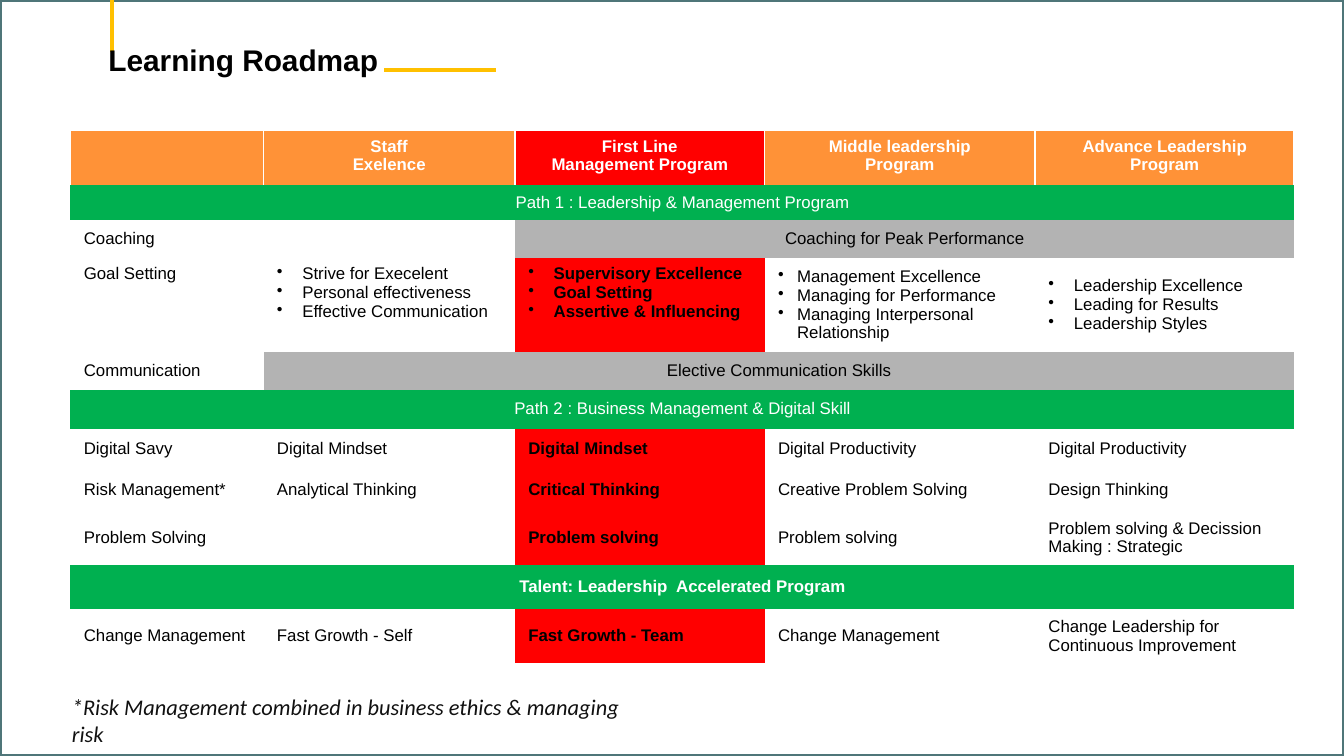
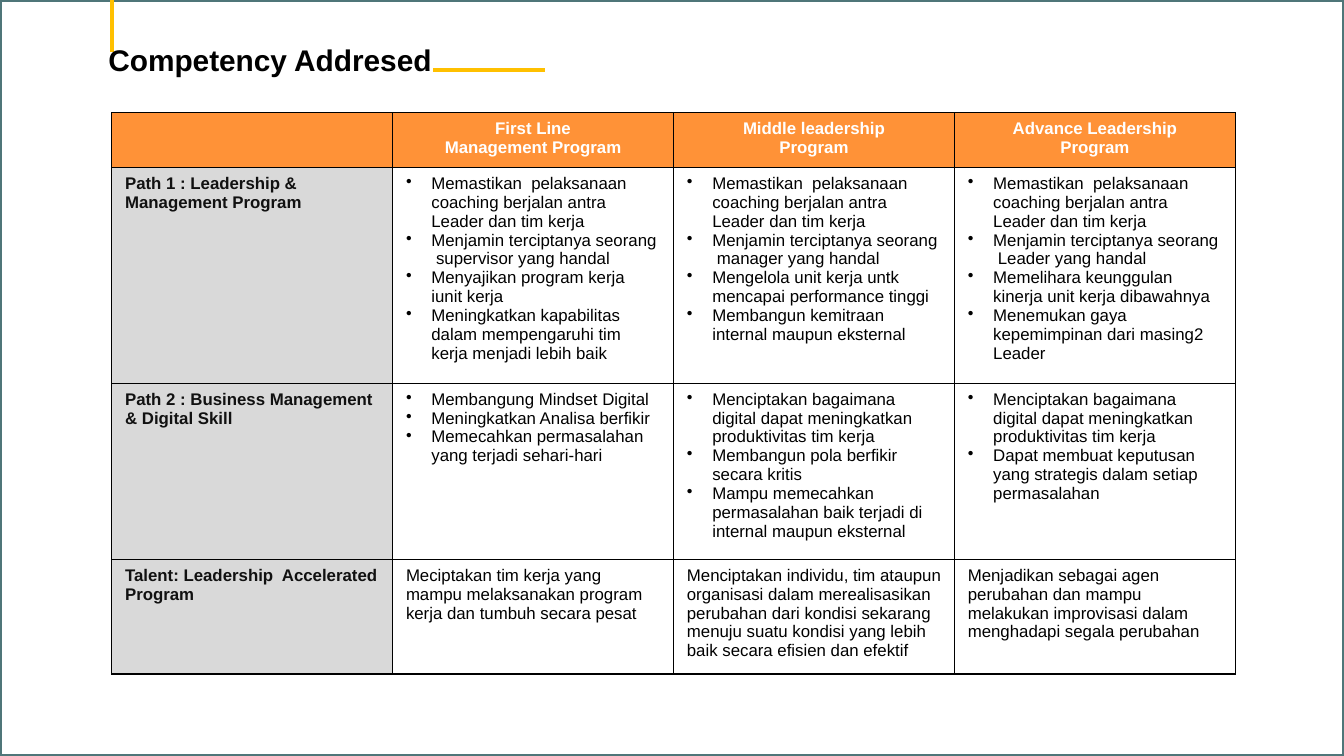
from lxml import etree
from pptx import Presentation
from pptx import util as u
from pptx.dml.color import RGBColor
from pptx.enum import shapes, text
from pptx.oxml.ns import qn

ORANGE, RED, GREEN = "FF9237", "FF0000", "00B050"
GREY, PALE, YELLOW = "B3B3B3", "D9D9D9", "FFC000"
WHITE, BLACK, INK = "FFFFFF", "000000", "111111"
NO_STYLE = "{2D5ABB26-0587-4C30-8999-92F81FD0307C}"
WIDTH, HEIGHT = u.Cm(25.4), u.Cm(14.29)


def color(value):
    return RGBColor.from_string(value)


def fill_cell(cell, content, fill, ink, bold, align, anchor, indent, edges, edge_color, edge_width):
    """Write one table cell; a list becomes bullets, a string becomes plain lines."""
    properties = cell._tc.get_or_add_tcPr()
    for edge in edges:
        line = etree.SubElement(properties, qn("a:ln" + edge), w=str(u.Pt(edge_width)))
        solid = etree.SubElement(line, qn("a:solidFill"))
        etree.SubElement(solid, qn("a:srgbClr"), val=edge_color)
    if fill:
        cell.fill.solid()
        cell.fill.fore_color.rgb = color(fill)
    else:
        cell.fill.background()
    cell.vertical_anchor = anchor
    bulleted = isinstance(content, list)
    cell.text_frame.text = "\n".join(content) if bulleted else content
    for para in cell.text_frame.paragraphs:
        para.alignment = align
        if bulleted:
            layout = para._p.get_or_add_pPr()
            layout.set("marL", str(u.Cm(indent)))
            layout.set("indent", str(-u.Cm(indent)))
            tint = etree.SubElement(layout, qn("a:buClr"))
            etree.SubElement(tint, qn("a:srgbClr"), val=BLACK)
            etree.SubElement(layout, qn("a:buChar"), char="•")
        for span in para.runs:
            span.font.name = "Arial"
            span.font.size = u.Pt(9)
            span.font.bold = bold
            span.font.color.rgb = color(ink)
        if not para.runs:
            etree.SubElement(para._p, qn("a:endParaRPr"), sz="900")


# Wording of the tables; None continues the merged cell on its left
FIRST_LINE = "First Line\nManagement Program"
MIDDLE = "Middle leadership\nProgram"
LEADERSHIP = "Path 1 : Leadership & Management Program"
BUSINESS = "Path 2 : Business Management & Digital Skill"
TALENT = "Talent: Leadership  Accelerated Program"
COACHING = "Memastikan  pelaksanaan coaching berjalan antra Leader dan tim kerja"
DIGITAL = "Menciptakan bagaimana digital dapat meningkatkan produktivitas tim kerja"

roadmap = [
    ["", "Staff\nExelence", FIRST_LINE, MIDDLE, "Advance Leadership Program"],
    [LEADERSHIP, None, None, None, None],
    ["Coaching", "", "Coaching for Peak Performance", None, None],
    ["Goal Setting",
     ["Strive for Execelent", "Personal effectiveness", "Effective Communication"],
     ["Supervisory Excellence", "Goal Setting", "Assertive & Influencing"],
     ["Management Excellence", "Managing for Performance", "Managing Interpersonal Relationship"],
     ["Leadership Excellence", "Leading for Results", "Leadership Styles"]],
    ["Communication", "Elective Communication Skills", None, None, None],
    [BUSINESS, None, None, None, None],
    ["Digital Savy", "Digital Mindset", "Digital Mindset",
     "Digital Productivity", "Digital Productivity"],
    ["Risk Management*", "Analytical Thinking", "Critical Thinking",
     "Creative Problem Solving", "Design Thinking"],
    ["Problem Solving", "", "Problem solving", "Problem solving",
     "Problem solving & Decission Making : Strategic"],
    [TALENT, None, None, None, None],
    ["Change Management", "Fast Growth - Self", "Fast Growth - Team", "Change Management",
     "Change Leadership for Continuous Improvement"],
]
competency = [
    ["", FIRST_LINE, MIDDLE, "Advance Leadership\nProgram"],
    [LEADERSHIP,
     [COACHING, "Menjamin terciptanya seorang  supervisor yang handal",
      "Menyajikan program kerja iunit kerja",
      "Meningkatkan kapabilitas dalam mempengaruhi tim kerja menjadi lebih baik"],
     [COACHING, "Menjamin terciptanya seorang  manager yang handal",
      "Mengelola unit kerja untk mencapai performance tinggi",
      "Membangun kemitraan internal maupun eksternal"],
     [COACHING, "Menjamin terciptanya seorang  Leader yang handal",
      "Memelihara keunggulan kinerja unit kerja dibawahnya",
      "Menemukan gaya kepemimpinan dari masing2 Leader"]],
    [BUSINESS,
     ["Membangung Mindset Digital", "Meningkatkan Analisa berfikir",
      "Memecahkan permasalahan yang terjadi sehari-hari"],
     [DIGITAL, "Membangun pola berfikir secara kritis",
      "Mampu memecahkan permasalahan baik terjadi di internal maupun eksternal"],
     [DIGITAL, "Dapat membuat keputusan yang strategis dalam setiap permasalahan"]],
    [TALENT,
     "Meciptakan tim kerja yang mampu melaksanakan program kerja dan tumbuh secara pesat",
     "Menciptakan individu, tim ataupun organisasi dalam merealisasikan perubahan dari kondisi "
     "sekarang menuju suatu kondisi yang lebih baik secara efisien dan efektif",
     "Menjadikan sebagai agen perubahan dan mampu melakukan improvisasi dalam menghadapi "
     "segala perubahan"],
]

# Title, title width, start of the underline, table corner, columns, rows, wording
slides = [
    ("Learning Roadmap", 5.89, 7.26, (1.33, 2.46), [3.65, 4.75, 4.72, 5.11, 4.9],
     [1.04, 0.66, 0.71, 1.78, 0.71, 0.74, 0.76, 0.79, 1.02, 0.84, 1.02], roadmap),
    ("Competency Addresed", 6.73, 8.19, (2.11, 2.13), [5.31] * 4,
     [1.04, 4.06, 3.33, 2.16], competency),
]

deck = Presentation()
deck.slide_width, deck.slide_height = WIDTH, HEIGHT

for title, title_width, underline, corner, columns, rows, wording in slides:
    page = deck.slides.add_slide(deck.slide_layouts[6])
    page.background.fill.solid()
    page.background.fill.fore_color.rgb = color("6B9FA4")

    # Framed white sheet
    frame = page.shapes.add_shape(shapes.MSO_SHAPE.RECTANGLE, 0, 0, WIDTH, HEIGHT)
    frame.shadow.inherit = False
    frame.fill.solid()
    frame.fill.fore_color.rgb = color(WHITE)
    frame.line.color.rgb = color("4F7679")
    frame.line.width = u.Pt(2)

    # Yellow title accents
    for ends in [(2.11, 0, 2.11, 0.99), (underline, 1.32, underline + 2.12, 1.32)]:
        accent = page.shapes.add_connector(shapes.MSO_CONNECTOR.STRAIGHT, *map(u.Cm, ends))
        accent.line.color.rgb = color(YELLOW)
        accent.line.width = u.Pt(2.25)
        etree.SubElement(accent._element.spPr, qn("a:effectLst"))

    # Title
    box = page.shapes.add_textbox(u.Cm(1.8), u.Cm(0.66), u.Cm(title_width), u.Cm(0.94))
    box.text_frame.word_wrap = True
    box.text_frame.text = title
    span = box.text_frame.paragraphs[0].runs[0]
    span.font.name = "Arial"
    span.font.size = u.Pt(16)
    span.font.bold = True
    span.font.color.rgb = color(BLACK)

    # Table grid
    holder = page.shapes.add_table(len(rows), len(columns), *map(u.Cm, corner),
                                   u.Cm(sum(columns)), u.Cm(sum(rows)))
    table = holder.table
    table._tbl.tblPr.find(qn("a:tableStyleId")).text = NO_STYLE
    for column, width in zip(table.columns, columns):
        column.width = u.Cm(width)
    for row, height in zip(table.rows, rows):
        row.height = u.Cm(height)

    # Table cells
    is_roadmap = wording is roadmap
    for r, line in enumerate(wording):
        for c, content in enumerate(line):
            if content is None:
                continue
            last = c
            while last + 1 < len(line) and line[last + 1] is None:
                last += 1
            merged = last > c
            if merged:
                table.cell(r, c).merge(table.cell(r, last))
            header = r == 0
            band = merged and c == 0
            first_line = is_roadmap and c == 2 and not merged
            label = not is_roadmap and c == 0 and not header

            fill = None
            if first_line:
                fill = RED
            elif header:
                fill = ORANGE
            elif merged:
                fill = GREEN if band else GREY
            elif label:
                fill = PALE

            centred = header or merged
            top = header or not is_roadmap or (r == 3 and c < 3)
            fill_cell(
                table.cell(r, c), content, fill,
                ink=WHITE if header or band else INK if label else BLACK,
                bold=header or first_line or label or (band and content == TALENT),
                align=text.PP_ALIGN.CENTER if centred else text.PP_ALIGN.LEFT,
                anchor=text.MSO_ANCHOR.TOP if top else text.MSO_ANCHOR.MIDDLE,
                indent=0.36 if is_roadmap and c == 3 else 0.48,
                edges="LRTB" if not is_roadmap else "LRT" if header else "",
                edge_color=WHITE if is_roadmap else BLACK,
                edge_width=1 if is_roadmap else 0.75)

# Footnote under the roadmap
note = deck.slides[0].shapes.add_textbox(u.Cm(1.33), u.Cm(13.08), u.Cm(11.1), u.Cm(0.56))
note.text_frame.word_wrap = True
note.text_frame.margin_left = note.text_frame.margin_right = u.Cm(0.03)
note.text_frame.margin_top = u.Cm(0.03)
note.text_frame.margin_bottom = 0
note.text_frame.text = "*Risk Management combined in business ethics & managing risk"
span = note.text_frame.paragraphs[0].runs[0]
span.font.name = "Calibri"
span.font.size = u.Pt(12)
span.font.italic = True
span.font.color.rgb = color(INK)

deck.save("out.pptx")
